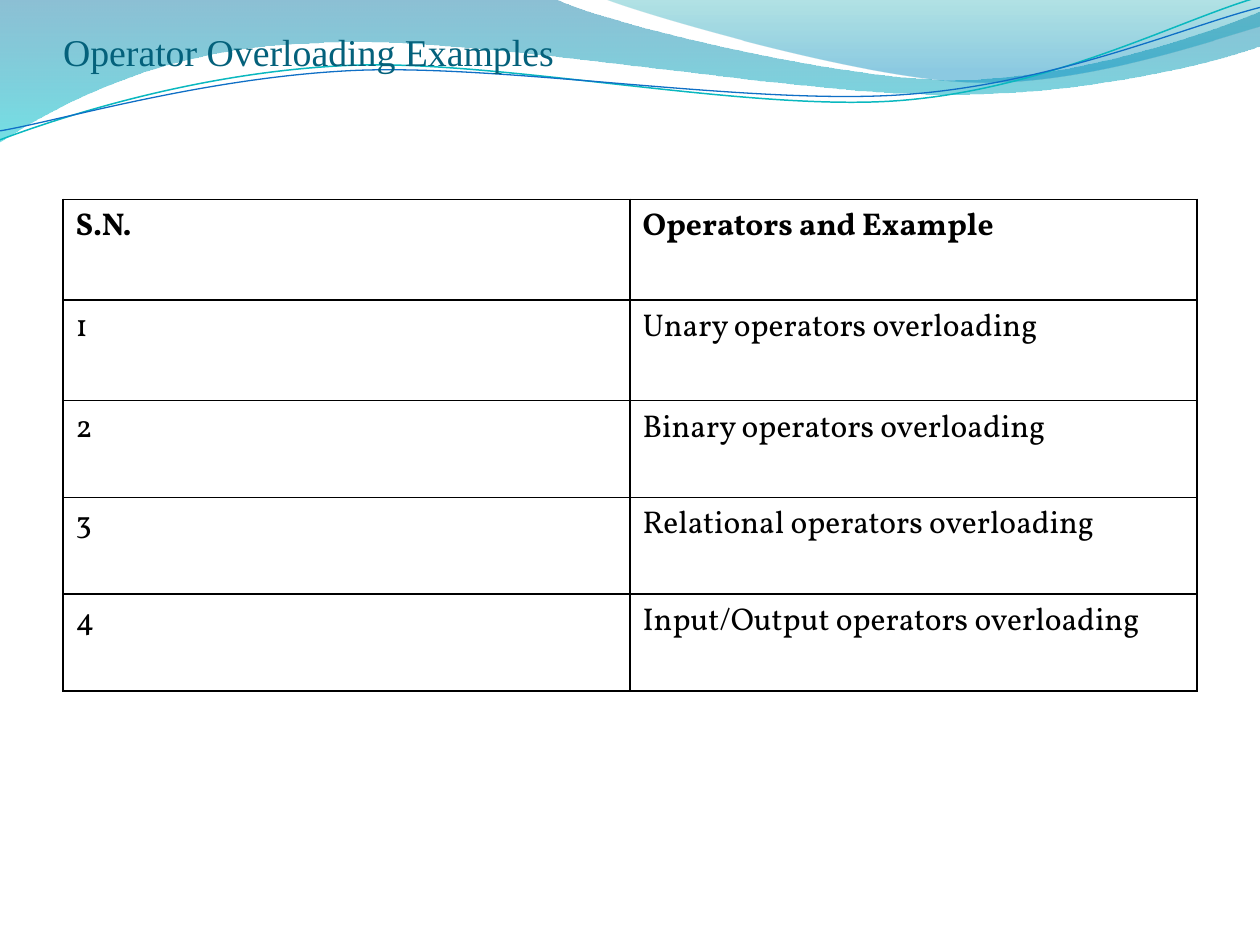
import math
from dataclasses import dataclass

from pptx import Presentation, util as u
from pptx.dml.color import RGBColor
from pptx.enum import text
from pptx.oxml import parse_xml
from pptx.oxml.ns import nsdecls


@dataclass(frozen=True)
class Theme:
    title_font: str = "Times New Roman"
    body_font: str = "Vollkorn"
    title_size: float = 21.6
    body_size: float = 18
    title_color: str = "04617B"
    ink: str = "000000"
    teal_line: str = "0AB8BF"
    blue_line: str = "0F6FC6"
    # gradient stops: position, colour, opacity in percent
    main_wave: tuple = ((0, "0074A1", 45), (1, "00C6CF", 55))
    right_wave: tuple = ((0, "00A1A9", 30), (0.8, "008BBF", 45))


# Header outlines in cm: a start, then lines (one point) or Bezier curves (three)
MAIN_WAVE = [
    [(0, 0)], [(11.18, -0.03)],
    [(12.09, 0.43), (16.87, 1.6), (19.25, 1.6)],
    [(21.67, 1.6), (24.33, 0.66), (25.4, 0.23)], [(25.43, 0.91)],
    [(24.97, 1.12), (22.1, 1.93), (18.95, 1.9)],
    [(15.8, 1.9), (9.7, 0.71), (6.53, 0.86)],
    [(3.28, 0.91), (1.17, 2.11), (-0.03, 2.87)], [(0, 0)],
]
RIGHT_WAVE = [
    [(12.17, -0.03)],
    [(12.93, 0.28), (17.32, 1.57), (19.53, 1.65)],
    [(21.74, 1.75), (24.41, 0.81), (25.4, 0.53)], [(25.4, 0)],
    [(12.17, -0.03)],
]
TEAL_CURVE = [
    [(0, 2.82)],
    [(1.22, 2.36), (4.01, 1.45), (7.04, 1.32)],
    [(10.03, 1.19), (15.06, 2.26), (18.11, 2.03)],
    [(21.16, 1.8), (23.83, 0.38), (25.35, -0.05)],
]
BLUE_CURVE = [
    [(0, 2.64)],
    [(1.19, 2.44), (4.17, 1.55), (7.19, 1.42)],
    [(10.24, 1.3), (15.16, 2.13), (18.21, 1.91)],
    [(21.23, 1.7), (23.9, 0.53), (25.4, 0.15)],
]
TILT = 357.3
ROWS = [
    ("S.N.", "Operators and Example"),
    ("1", "Unary operators overloading"),
    ("2", "Binary operators overloading"),
    ("3", "Relational operators overloading"),
    ("4", "Input/Output operators overloading"),
]
ROW_HEIGHTS = (2.03, 2.03, 1.95, 1.95, 1.95)


def write(tf, content, *, font, size, color, bold=False):
    p = tf.paragraphs[0]
    p.alignment = text.PP_ALIGN.LEFT
    r = p.add_run()
    r.text = content
    r.font.name, r.font.size, r.font.bold = font, u.Pt(size), bold
    r.font.color.rgb = RGBColor.from_string(color)


class SlideBuilder:
    def __init__(self, prs, theme):
        self.theme = theme
        self.s = prs.slides.add_slide(prs.slide_layouts[5])

    def outline(self, segments, box, closed, rotation=0):
        """Draw lines and curves in a box, given as they lie after rotation."""
        left, top, width, height = box
        cx, cy = left + width / 2, top + height / 2
        cos, sin = (f(math.radians(-rotation)) for f in (math.cos, math.sin))

        def local(x, y):
            dx, dy = x - cx, y - cy
            return (u.Cm(dx * cos - dy * sin + width / 2),
                    u.Cm(dx * sin + dy * cos + height / 2))

        points = [[local(*pt) for pt in seg] for seg in segments]
        fb = self.s.shapes.build_freeform(*points[0][0])
        fb.add_line_segments([seg[-1] for seg in points[1:]], close=closed)
        sp = fb.convert_to_shape()
        sp.left, sp.top, sp.width, sp.height = map(u.Cm, box)
        sp.rotation = rotation
        sp.shadow.inherit = False

        # Put the curves in place of the straight segments
        geometry = sp.element.spPr.xpath(".//a:pathLst/a:path")[0]
        geometry.set("w", str(sp.width))
        geometry.set("h", str(sp.height))
        for old, seg in zip(list(geometry), points):
            tag = "cubicBezTo" if len(seg) == 3 else old.tag.split("}")[1]
            pts = "".join(f'<a:pt x="{x}" y="{y}"/>' for x, y in seg)
            geometry.replace(old, parse_xml(
                f'<a:{tag} {nsdecls("a")}>{pts}</a:{tag}>'))
        return sp

    def wave(self, segments, box, stops):
        sp = self.outline(segments, box, True)
        sp.line.fill.background()
        sp.fill.gradient()
        sp.fill.gradient_angle = 270
        for stop, (pos, color, _) in zip(sp.fill.gradient_stops, stops):
            stop.position = pos
            stop.color.rgb = RGBColor.from_string(color)
        colors = sp.element.spPr.xpath(".//a:gs/a:srgbClr")
        for clr, (_, _, opacity) in zip(colors, stops):
            clr.append(parse_xml(
                f'<a:alpha {nsdecls("a")} val="{opacity * 1000}"/>'))

    def curve(self, segments, box, color, width):
        sp = self.outline(segments, box, False, TILT)
        sp.fill.background()
        sp.line.color.rgb = RGBColor.from_string(color)
        sp.line.width = u.Pt(width)

    def title(self, content):
        sp = self.s.shapes.title
        sp.left, sp.top, sp.width, sp.height = map(
            u.Cm, (1.27, 0.42, 22.86, 1.07))
        tf = sp.text_frame
        tf.auto_size = text.MSO_AUTO_SIZE.NONE
        tf.word_wrap = True
        tf.vertical_anchor = text.MSO_ANCHOR.BOTTOM
        tf.margin_left = tf.margin_right = tf.margin_bottom = 0
        tf.margin_top = u.Cm(0.13)
        th = self.theme
        write(tf, content, font=th.title_font, size=th.title_size,
              color=th.title_color)
        # Bring the title in front of the waves
        sp.element.getparent().append(sp.element)

    def border(self, cell):
        tc_pr = cell._tc.get_or_add_tcPr()
        for side in "LRTB":
            tc_pr.append(parse_xml(
                f'<a:ln{side} {nsdecls("a")} w="{u.Pt(1)}"><a:solidFill>'
                f'<a:srgbClr val="{self.theme.ink}"/></a:solidFill></a:ln{side}>'))

    def table(self, rows, heights):
        frame = self.s.shapes.add_table(
            len(rows), len(rows[0]), u.Cm(1.27), u.Cm(4.02),
            u.Cm(22.86), u.Cm(sum(heights)))
        tbl, th = frame.table, self.theme
        tbl.first_row = tbl.horz_banding = False
        for i, (row, height) in enumerate(zip(rows, heights)):
            tbl.rows[i].height = u.Cm(height)
            for j, content in enumerate(row):
                cell = tbl.cell(i, j)
                self.border(cell)
                cell.fill.background()
                write(cell.text_frame, content, font=th.body_font,
                      size=th.body_size, color=th.ink, bold=i == 0)


def main():
    prs = Presentation()
    prs.slide_width, prs.slide_height = u.Cm(25.4), u.Cm(19.05)
    theme = Theme()
    b = SlideBuilder(prs, theme)

    # Header decoration
    b.wave(MAIN_WAVE, (-0.03, -0.03, 25.45, 2.9), theme.main_wave)
    b.wave(RIGHT_WAVE, (12.17, -0.03, 13.23, 1.78), theme.right_wave)
    b.curve(TEAL_CURVE, (-0.05, 0.56, 25.45, 1.8), theme.teal_line, 0.85)
    b.curve(BLUE_CURVE, (-0.05, 0.76, 25.48, 1.47), theme.blue_line, 0.75)

    # Title and operator table
    b.title("Operator Overloading Examples")
    b.table(ROWS, ROW_HEIGHTS)

    prs.save("out.pptx")


if __name__ == "__main__":
    main()
